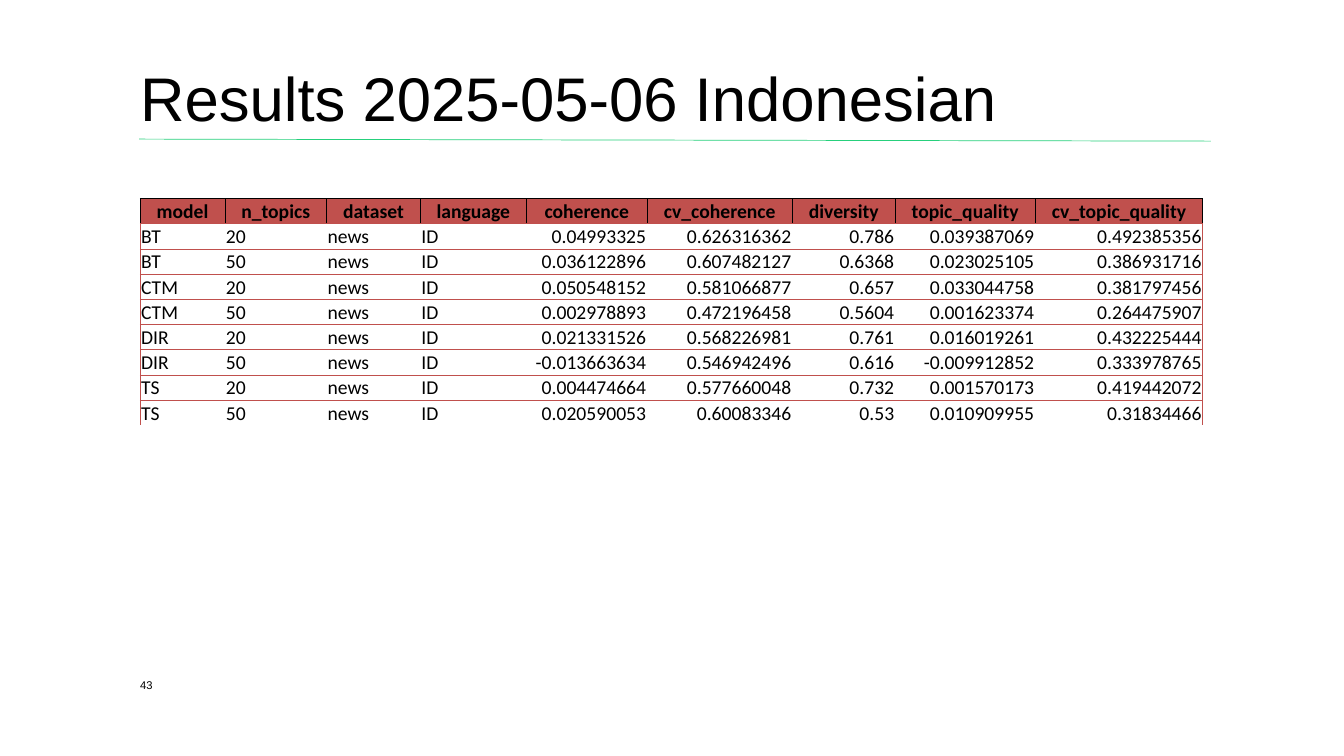
from dataclasses import dataclass

from lxml.etree import SubElement
from pptx import Presentation
from pptx.dml.color import RGBColor
from pptx.enum.shapes import MSO_CONNECTOR
from pptx.enum.text import MSO_ANCHOR, PP_ALIGN
from pptx.oxml.ns import qn
from pptx.util import Inches, Pt

TITLE = "Results 2025-05-06 Indonesian"
PAGE_NUMBER = "43"
HEADERS = ["model", "n_topics", "dataset", "language", "coherence",
           "cv_coherence", "diversity", "topic_quality", "cv_topic_quality"]
DATASET, LANGUAGE = "news", "ID"
RESULTS = [
    ("BT", "20", "0.04993325", "0.626316362", "0.786", "0.039387069", "0.492385356"),
    ("BT", "50", "0.036122896", "0.607482127", "0.6368", "0.023025105", "0.386931716"),
    ("CTM", "20", "0.050548152", "0.581066877", "0.657", "0.033044758", "0.381797456"),
    ("CTM", "50", "0.002978893", "0.472196458", "0.5604", "0.001623374", "0.264475907"),
    ("DIR", "20", "0.021331526", "0.568226981", "0.761", "0.016019261", "0.432225444"),
    ("DIR", "50", "-0.013663634", "0.546942496", "0.616", "-0.009912852", "0.333978765"),
    ("TS", "20", "0.004474664", "0.577660048", "0.732", "0.001570173", "0.419442072"),
    ("TS", "50", "0.020590053", "0.60083346", "0.53", "0.010909955", "0.31834466"),
]
COLUMN_WIDTHS = [0.84, 1.01, 0.93, 1.05, 1.2, 1.44, 1.02, 1.39, 1.66]
ROW_HEIGHT = 0.25
LEFT, TABLE_TOP = 1.39, 1.97
TEXT_COLUMNS = 4
PLAIN_TABLE_STYLE = "{2D5ABB26-0587-4C30-8999-92F81FD0307C}"


@dataclass(frozen=True)
class Theme:
    ink: str = "000000"
    red: str = "C0504D"
    green: str = "26D07C"
    heading_font: str = "Arial"
    table_font: str = "Calibri"
    title_size: int = 44
    table_size: int = 14
    number_size: int = 8
    line_width: float = 0.5


THEME = Theme()


def style_text(para, font_name, size, bold=False):
    for span in para.runs:
        span.font.name = font_name
        span.font.size = Pt(size)
        span.font.bold = bold
        span.font.color.rgb = RGBColor.from_string(THEME.ink)


def add_text(page, text, left, top, width, height, size):
    box = page.shapes.add_textbox(*map(Inches, (left, top, width, height)))
    frame = box.text_frame
    frame.word_wrap = True
    frame.vertical_anchor = MSO_ANCHOR.BOTTOM
    frame.margin_left = frame.margin_right = frame.margin_top = frame.margin_bottom = 0
    frame.text = text
    para = frame.paragraphs[0]
    style_text(para, THEME.heading_font, size)
    return para


def add_title_rule(page):
    rule = page.shapes.add_connector(
        MSO_CONNECTOR.STRAIGHT, *map(Inches, (1.38, 1.38, 12.01, 1.4)))
    rule.line.color.rgb = RGBColor.from_string(THEME.green)
    rule.line.width = Pt(THEME.line_width)
    SubElement(rule._element.spPr, qn("a:effectLst"))


def set_borders(cell, colors):
    """Draw the cell's edges; colors maps L, R, T, B to a colour or None."""
    properties = cell._tc.get_or_add_tcPr()
    for side in "LRTB":
        color = colors.get(side)
        edge = SubElement(properties, qn(f"a:ln{side}"), w=str(Pt(THEME.line_width)))
        if color:
            fill = SubElement(edge, qn("a:solidFill"))
            SubElement(fill, qn("a:srgbClr"), val=color)
        else:
            SubElement(edge, qn("a:noFill"))


def body_borders(row, column):
    last_row, last_column = len(RESULTS), len(HEADERS) - 1
    return {"T": THEME.red,
            "B": THEME.red if row < last_row else None,
            "L": THEME.red if column == 0 else None,
            "R": THEME.red if column == last_column else None}


def fill_cell(cell, text, row, column):
    is_header = row == 0
    cell.margin_left = cell.margin_right = cell.margin_top = Inches(0.01)
    cell.margin_bottom = 0
    cell.text = text
    para = cell.text_frame.paragraphs[0]
    style_text(para, THEME.table_font, THEME.table_size, bold=is_header)
    if is_header:
        para.alignment = PP_ALIGN.CENTER
        cell.vertical_anchor = MSO_ANCHOR.TOP
        set_borders(cell, {**dict.fromkeys("LRT", THEME.ink), "B": THEME.red})
        cell.fill.solid()
        cell.fill.fore_color.rgb = RGBColor.from_string(THEME.red)
    else:
        para.alignment = PP_ALIGN.LEFT if column < TEXT_COLUMNS else PP_ALIGN.RIGHT
        cell.vertical_anchor = MSO_ANCHOR.BOTTOM
        set_borders(cell, body_borders(row, column))
        cell.fill.background()


def add_results_table(page):
    rows = [HEADERS] + [[model, topics, DATASET, LANGUAGE, *scores]
                        for model, topics, *scores in RESULTS]
    frame = page.shapes.add_table(
        len(rows), len(HEADERS), Inches(LEFT), Inches(TABLE_TOP),
        Inches(sum(COLUMN_WIDTHS)), Inches(ROW_HEIGHT * len(rows)))
    table = frame.table
    table.horz_banding = False
    table._tbl.tblPr.find(qn("a:tableStyleId")).text = PLAIN_TABLE_STYLE
    for column, width in zip(table.columns, COLUMN_WIDTHS):
        column.width = Inches(width)
    for r, values in enumerate(rows):
        table.rows[r].height = Inches(ROW_HEIGHT)
        for c, text in enumerate(values):
            fill_cell(table.cell(r, c), text, r, c)


def main():
    deck = Presentation()
    deck.slide_width, deck.slide_height = Inches(13.33), Inches(7.5)
    page = deck.slides.add_slide(deck.slide_layouts[6])
    add_title_rule(page)
    title = add_text(page, TITLE, LEFT, 0.4, 10.62, 0.94, THEME.title_size)
    title.line_spacing = 0.9
    add_text(page, PAGE_NUMBER, LEFT, 6.6, 0.5, 0.26, THEME.number_size)
    add_results_table(page)
    deck.save("out.pptx")


if __name__ == "__main__":
    main()
